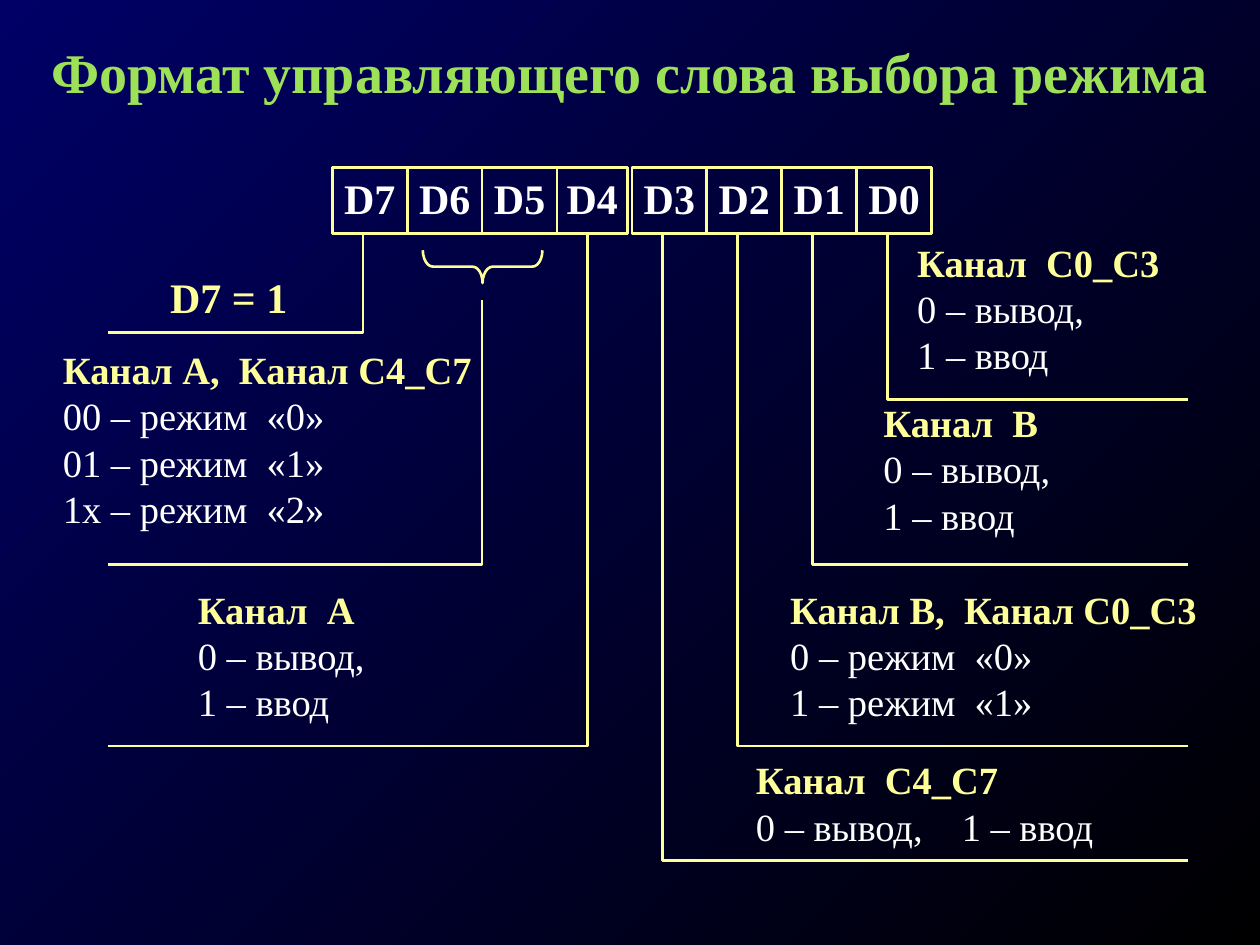
from lxml.etree import SubElement
from pptx import Presentation
from pptx.dml.color import RGBColor
from pptx.enum.shapes import MSO_SHAPE as Preset
from pptx.enum.text import MSO_ANCHOR as Anchor, MSO_AUTO_SIZE as AutoSize, PP_ALIGN as Align
from pptx.oxml.ns import qn
from pptx.util import Cm, Pt

YELLOW, WHITE, GREEN = "FFFF99", "FFFFFF", "9CE157"


def add_run(paragraph, text, size, color, bold):
    run = paragraph.add_run()
    run.text = text
    run.font.name = "Times New Roman"
    run.font.size = Pt(size)
    run.font.bold = bold
    run.font.color.rgb = RGBColor.from_string(color)


def outline(shape):
    """Leave only a thin yellow outline, without fill or shadow."""
    shape.shadow.inherit = False
    shape.fill.background()
    shape.line.color.rgb = RGBColor.from_string(YELLOW)
    shape.line.width = Pt(1.5)


prs = Presentation()
prs.slide_width, prs.slide_height = Cm(25.4), Cm(19.05)
slide = prs.slides.add_slide(prs.slide_layouts[5])
shapes = slide.shapes

background = slide.background.fill
background.gradient()
background.gradient_angle = 315
for stop, color, position in zip(background.gradient_stops, ("000066", "000000"), (0, 1)):
    stop.color.rgb = RGBColor.from_string(color)
    stop.position = position

title = shapes.title
title.left, title.top, title.width, title.height = Cm(0), Cm(0.64), Cm(25.4), Cm(1.6)
title.text_frame.auto_size = AutoSize.NONE
title.text_frame.vertical_anchor = Anchor.MIDDLE
heading = title.text_frame.paragraphs[0]
heading.alignment = Align.CENTER
add_run(heading, "Формат управляющего слова выбора режима", 32, GREEN, True)

# Control word: eight bits, D7 to D0
word_left, bit_pitch, word_top, bit_height = 6.7, 1.51, 3.38, 1.33
for index in range(8):
    bit = 7 - index
    bit_width = 1.42 if bit == 4 else 1.51
    cell = shapes.add_shape(Preset.RECTANGLE, Cm(word_left + index * bit_pitch), Cm(word_top),
                            Cm(bit_width), Cm(bit_height))
    outline(cell)
    frame = cell.text_frame
    frame.margin_left = frame.margin_top = frame.margin_right = 0
    frame.margin_bottom = Cm(0.1)
    frame.vertical_anchor = Anchor.MIDDLE
    frame.paragraphs[0].alignment = Align.CENTER
    add_run(frame.paragraphs[0], f"D{bit}", 24, WHITE, True)

# Brace that joins D6 and D5
brace = shapes.add_shape(Preset.LEFT_BRACE, Cm(9.4), Cm(4.17), Cm(0.66), Cm(2.41))
brace.rotation = 270
brace.adjustments[0] = 0.31
outline(brace)

# Leader lines: x of the stem, top, bottom, outer end
left_end, right_end, word_bottom = 2.18, 23.95, word_top + bit_height
stem = {7 - index: 7.32 + index * bit_pitch for index in range(8)}
leaders = [
    (stem[7], word_bottom, 6.71, left_end),
    (word_left + 2 * bit_pitch, 6.05, 11.38, left_end),
    (stem[4], word_bottom, 15.04, left_end),
    (stem[3], word_bottom, 17.35, right_end),
    (stem[2], word_bottom, 15.04, right_end),
    (stem[1], word_bottom, 11.38, right_end),
    (stem[0], word_bottom, 8.05, right_end),
]
for x, top, bottom, end in leaders:
    builder = shapes.build_freeform(Cm(x), Cm(top))
    builder.add_line_segments([(Cm(x), Cm(bottom)), (Cm(end), Cm(bottom))], close=False)
    outline(builder.convert_to_shape())

# Descriptions: left, top, width, height, heading, values
direction = ["0 – вывод,", "1 – ввод"]
descriptions = [
    (2.49, 5.38, 4.24, 1.32, "D7 = 1", []),
    (1.27, 6.88, 8.33, 3.99, "Канал A,  Канал С4_С7",
     ["00 – режим  «0»", "01 – режим  «1»", "1x – режим  «2»"]),
    (3.99, 11.71, 5.13, 3, "Канал  А", direction),
    (15.24, 15.15, 8.76, 2.01, "Канал  С4_С7", ["\t".join(direction)]),
    (15.93, 11.71, 8.61, 3, "Канал В,  Канал С0_С3", ["0 – режим  «0»", "1 – режим  «1»"]),
    (17.81, 7.95, 5.13, 3, "Канал  В", direction),
    (18.49, 4.72, 5.13, 3, "Канал  С0_С3", direction),
]
for left, top, width, height, name, values in descriptions:
    frame = shapes.add_textbox(Cm(left), Cm(top), Cm(width), Cm(height)).text_frame
    frame.word_wrap = True
    frame.margin_left = frame.margin_right = 0
    frame.margin_top = frame.margin_bottom = Cm(0.1)
    if not values:
        frame.paragraphs[0].alignment = Align.CENTER
    add_run(frame.paragraphs[0], name, 22 if values else 24, YELLOW, True)
    for value in values:
        line = frame.add_paragraph()
        if "\t" in value:
            tabs = SubElement(line._p.get_or_add_pPr(), qn("a:tabLst"))
            SubElement(tabs, qn("a:tab"), pos=str(Cm(4.15)), algn="l")
        add_run(line, value, 22, WHITE, False)

prs.save("out.pptx")
